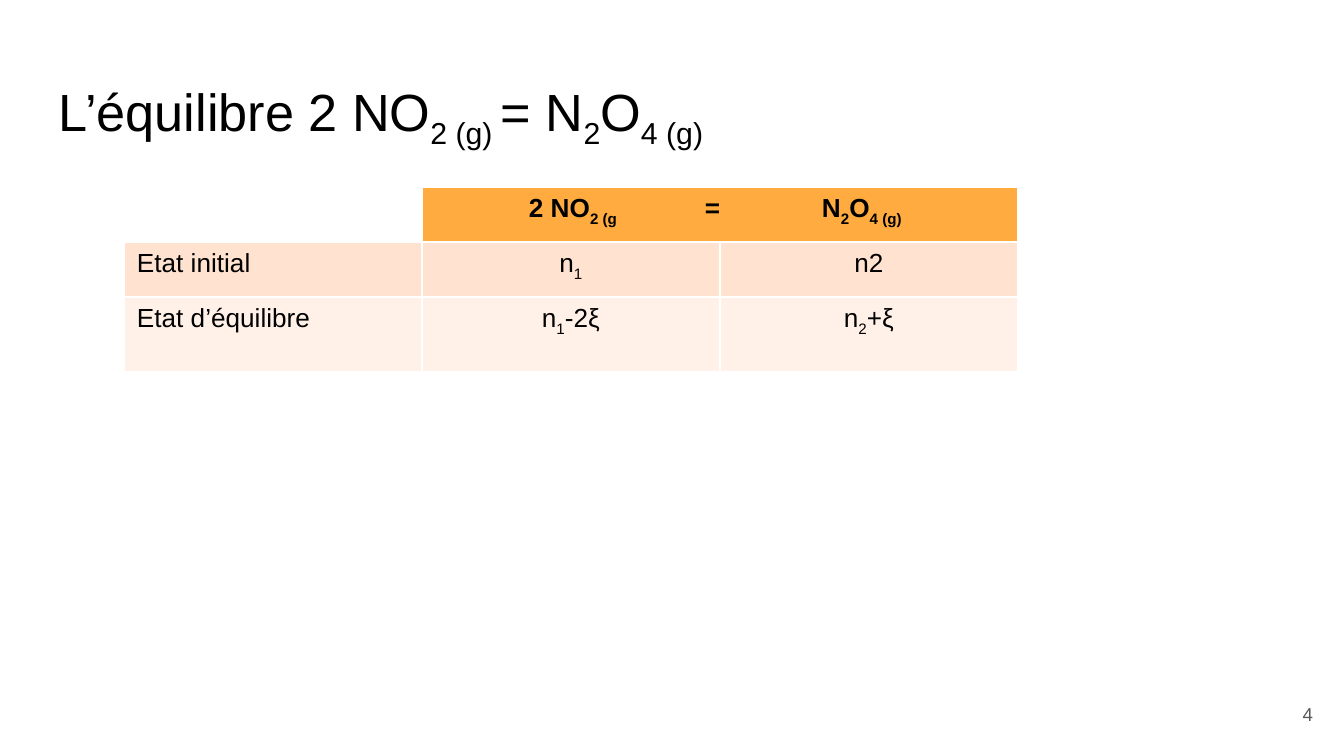
import pptx
import pptx.dml.color
import pptx.enum.text
import pptx.oxml
import pptx.oxml.ns
import pptx.util

PX = 914400 / 134.4
COLORS = {"text": "000000", "number": "595959", "header": "FFAB40",
          "initial": "FFE2CF", "balance": "FFF1E8", "border": "FFFFFF"}
ALIGN = pptx.enum.text.PP_ALIGN
ANCHOR = pptx.enum.text.MSO_ANCHOR


def px(length):
    return pptx.util.Emu(round(length * PX))


def rgb(name):
    return pptx.dml.color.RGBColor.from_string(COLORS[name])


def drawing_element(xml):
    return pptx.oxml.parse_xml(xml.replace(">", " %s>" % pptx.oxml.ns.nsdecls("a"), 1))


class SlideBuilder:
    font = "Arial"
    inset = 13

    def __init__(self, deck):
        self.slide = deck.slides.add_slide(deck.slide_layouts[5])

    def fill_text(self, frame, parts, size, color="text", bold=False, align=ALIGN.LEFT):
        """Fill a frame; every second part is a subscript."""
        paragraph = frame.paragraphs[0]
        paragraph.alignment = align
        for index, part in enumerate(parts):
            run = paragraph.add_run()
            run.text = part
            style = {"name": self.font, "size": pptx.util.Pt(size), "bold": bold}
            for key, value in style.items():
                setattr(run.font, key, value)
            run.font.color.rgb = rgb(color)
            if index % 2:
                run._r.get_or_add_rPr().set("baseline", "-25000")
        return paragraph

    def place(self, shape, box, anchor):
        for key, value in zip(("left", "top", "width", "height"), box):
            setattr(shape, key, px(value))
        frame = shape.text_frame
        layout = {"word_wrap": True, "vertical_anchor": anchor,
                  "auto_size": pptx.enum.text.MSO_AUTO_SIZE.NONE}
        layout.update({"margin_" + side: px(self.inset)
                       for side in ("left", "top", "right", "bottom")})
        for key, value in layout.items():
            setattr(frame, key, value)
        return frame

    def title(self, box, parts):
        self.fill_text(self.place(self.slide.shapes.title, box, ANCHOR.TOP), parts, 28)

    def label(self, box, text):
        shape = self.slide.shapes.add_textbox(0, 0, 0, 0)
        self.fill_text(self.place(shape, box, ANCHOR.MIDDLE), [text], 10, "number",
                       align=ALIGN.RIGHT)

    def table(self, left, top, columns, rows):
        shape = self.slide.shapes.add_table(len(rows), len(columns), px(left), px(top),
                                            px(sum(columns)), px(sum(rows)))
        table = shape.table
        table.first_row = table.horz_banding = False
        for column, width in zip(table.columns, columns):
            column.width = px(width)
        for row, height in zip(table.rows, rows):
            row.height = px(height)
        return table

    def cell(self, cell, parts=(), fill=None, sides="LRTB", **style):
        margins = {"left": self.inset, "right": self.inset, "top": 7, "bottom": 7}
        for side, margin in margins.items():
            setattr(cell, "margin_" + side, px(margin))
        properties = cell._tc.get_or_add_tcPr()
        for side in sides:
            properties.append(drawing_element(
                '<a:ln%s w="12700"><a:solidFill><a:srgbClr val="%s"/></a:solidFill></a:ln%s>'
                % (side, COLORS["border"], side)))
        if fill:
            cell.fill.solid()
            cell.fill.fore_color.rgb = rgb(fill)
        else:
            cell.fill.background()
        return self.fill_text(cell.text_frame, parts, 14, **style)

    def tabs(self, paragraph, stops):
        tab_list = drawing_element("<a:tabLst></a:tabLst>")
        for stop in stops:
            tab_list.append(drawing_element('<a:tab pos="%d" algn="l"></a:tab>' % px(stop)))
        paragraph._p.get_or_add_pPr().append(tab_list)


def main():
    deck = pptx.Presentation()
    deck.slide_width, deck.slide_height = px(1344), px(756)
    builder = SlideBuilder(deck)

    # Title and slide number
    builder.title((46, 66, 1252, 85), ["L’équilibre 2 NO", "2 (g) ", "= N", "2", "O", "4 (g)"])
    builder.label((1246, 685, 80, 58), "4")

    # Table header: the reaction spans both species columns
    progress = builder.table(124, 187, [298] * 3, [55, 55, 75])
    builder.cell(progress.cell(0, 0))
    progress.cell(0, 1).merge(progress.cell(0, 2))
    reaction = builder.cell(progress.cell(0, 1),
                            ["\t2 NO", "2 (g", "\t=\tN", "2", "O", "4 (g)"],
                            "header", sides="", bold=True)
    builder.tabs(reaction, [94, 270, 387])

    # Amounts at each stage
    stages = [("initial", ["Etat initial"], ["n", "1"], ["n2"]),
              ("balance", ["Etat d’équilibre"], ["n", "1", "-2ξ"], ["n", "2", "+ξ"])]
    for row, (fill, *entries) in enumerate(stages, 1):
        for column, parts in enumerate(entries):
            builder.cell(progress.cell(row, column), parts, fill,
                         align=ALIGN.CENTER if column else ALIGN.LEFT)

    deck.save("out.pptx")


if __name__ == "__main__":
    main()
